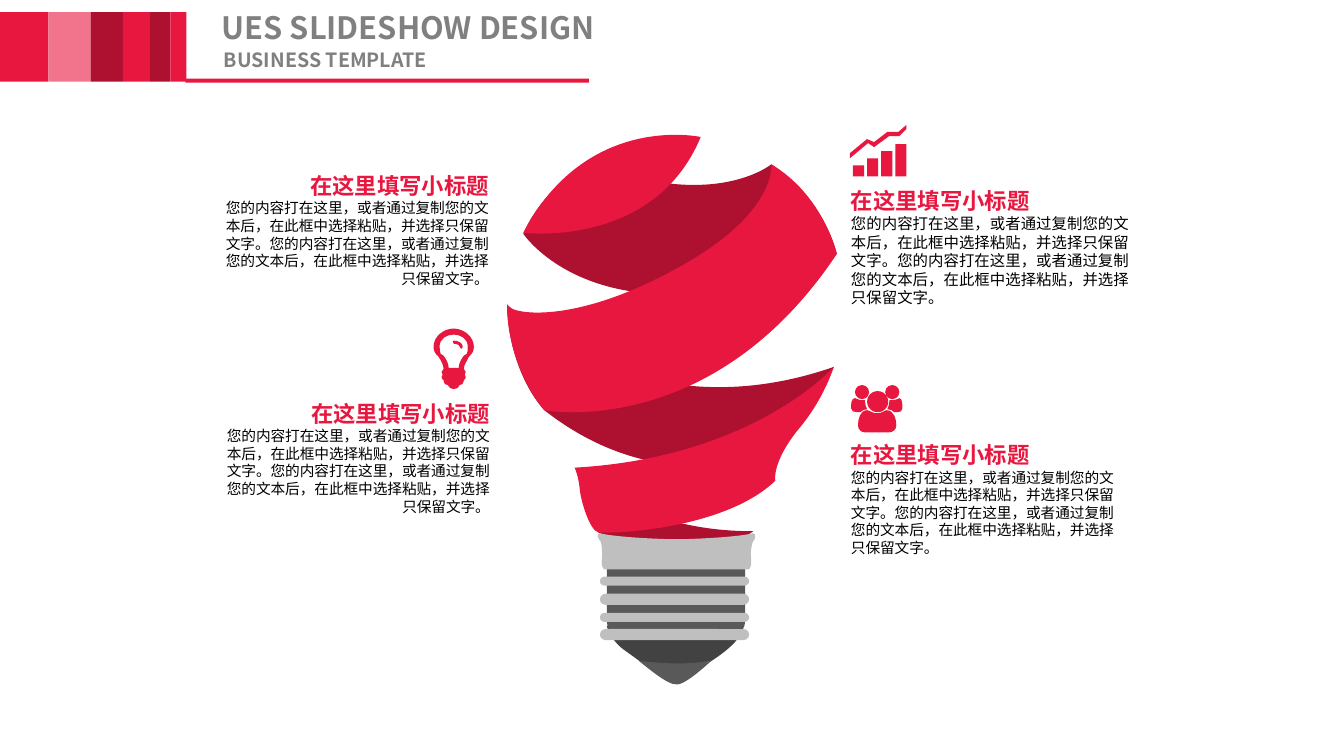
from dataclasses import dataclass
from itertools import accumulate

from lxml.etree import SubElement
from pptx import Presentation
from pptx.dml.color import RGBColor
from pptx.enum.shapes import MSO_SHAPE
from pptx.enum.text import MSO_ANCHOR, MSO_AUTO_SIZE, PP_ALIGN
from pptx.oxml.ns import qn
from pptx.util import Inches, Pt


@dataclass(frozen=True)
class Theme:
    font: str = "Noto Sans CJK SC"
    red: str = "E8173F"
    pink: str = "F1748C"
    dark: str = "AE112F"
    gray: str = "808080"
    black: str = "000000"
    metal: str = "BFBFBF"
    steel: str = "595959"
    coal: str = "424242"
    title: float = 22
    sub: float = 14
    head: float = 16
    body: float = 10.5
    large: float = 11


HEAD = "在这里填写小标题"
BODY = "您的内容打在这里，或者通过复制您的文本后，在此框中选择粘贴，并选择只保留文字。" * 2

# Contours in inches: a start point, then "|" before each line (2 numbers) or cubic curve (6).
FOLDS = [
    "5.19 2.32 | 5.19 2.32 5.99 3.52 8.3 2.52 | 8.3 2.52 8.19 1.99 7.65 1.63"
    "| 7.65 1.63 7.07 2.11 5.82 1.6 | 5.82 1.6 5.37 1.89 5.19 2.32",
    "5.03 3.02 | 5.03 3.02 6.29 4.33 8.27 3.64 | 8.27 3.64 8.16 3.9 8.02 4.07"
    "| 7.89 4.23 7.74 4.47 7.74 4.47 | 7.74 4.47 6.6 5.01 5.4 4.07 | 5.4 4.07 5.05 3.72 5.03 3.02",
    "5.7 4.64 | 5.7 4.64 6.25 5.27 7.47 5.27 | 7.47 5.27 6.91 5.73 5.93 5.28"
    "| 5.93 5.28 5.77 4.7 5.7 4.64",
]
BANDS = [
    "8.27 3.64 | 8.27 3.64 7.48 4.54 5.7 4.64 | 5.7 4.64 5.74 4.73 5.75 4.85"
    "| 5.76 4.97 5.85 5.26 5.93 5.28 | 6 5.3 7.17 5.27 7.69 4.77"
    "| 7.69 4.77 7.65 4.6 7.91 4.27 | 8.17 3.97 8.27 3.64 8.27 3.64",
    "7.65 1.63 | 7.65 1.63 7.72 2.12 6.7 2.67 | 5.68 3.23 5.05 3.12 5.03 3.02"
    "| 5.03 3.02 5 3.57 5.4 4.07 | 5.4 4.07 7.06 4.38 8.3 2.52 | 8.3 2.52 8.17 1.94 7.65 1.63",
    "5.19 2.31 | 5.19 2.31 6.49 2.47 6.95 1.36 | 6.95 1.36 5.82 1.11 5.19 2.31",
]
CONE = ("6.02 6.21 | 6.02 6.22 6.05 6.34 6.18 6.44 | 6.61 6.75"
        "| 6.71 6.82 6.78 6.77 6.8 6.75 | 6.82 6.73 6.88 6.67 7.02 6.58"
        "| 7.15 6.5 7.36 6.35 7.36 6.23 | 7.36 6.1 6.02 6.21 6.02 6.21")
COLLAR = ("7.47 5.29 | 7.32 5.33 6.86 5.35 6.71 5.35 | 6.56 5.35 6.1 5.33 5.95 5.29"
          "| 5.95 5.29 5.91 5.3 5.94 5.35 | 5.94 5.35 5.97 5.36 5.97 5.46"
          "| 5.98 5.55 5.95 5.6 5.99 5.65 | 7.43 5.65 | 7.47 5.6 7.44 5.55 7.45 5.46"
          "| 7.46 5.36 7.48 5.36 7.48 5.36 | 7.51 5.3 7.47 5.29 7.47 5.29")
TIP = ("6.34 6.56 | 6.34 6.55 6.75 6.62 7.06 6.55 | 7.06 6.55 6.82 6.78 6.72 6.79"
       "| 6.62 6.8 6.42 6.62 6.34 6.56")
PEOPLE = [
    "8.53 4.09 | 8.5 4.09 | 8.47 4.09 8.44 4.08 8.44 4.05 | 8.44 4.02 8.44 3.95 8.48 3.95"
    "| 8.49 3.95 8.51 3.97 8.55 3.97 | 8.58 3.97"
    "| 8.58 3.99 | 8.58 4.01 8.59 4.04 8.6 4.06 | 8.58 4.06 8.55 4.07 8.53 4.09",
    "8.81 4.29 | 8.58 4.29 | 8.54 4.29 8.51 4.26 8.51 4.22 | 8.51 4.16 8.53 4.07 8.6 4.07"
    "| 8.62 4.07 8.65 4.1 8.7 4.1 | 8.75 4.1 8.78 4.07 8.79 4.07"
    "| 8.87 4.07 8.89 4.16 8.89 4.22 | 8.89 4.26 8.86 4.29 8.81 4.29",
    "8.9 4.09 | 8.87 4.09 | 8.85 4.07 8.83 4.06 8.8 4.06 | 8.81 4.04 8.82 4.01 8.82 3.99"
    "| 8.82 3.97 | 8.85 3.97"
    "| 8.89 3.97 8.92 3.95 8.92 3.95 | 8.95 3.95 8.95 4.02 8.95 4.05 | 8.95 4.08 8.93 4.09 8.9 4.09",
]
TREND = ("8.91 1.31 | 8.8 1.31 | 8.67 1.41 | 8.6 1.38 | 8.43 1.52 | 8.43 1.57 | 8.61 1.42"
         "| 8.67 1.46 | 8.82 1.35 | 8.92 1.35 | 8.99 1.28 | 8.99 1.24")
LAMP = [
    "4.65 3.54 | 4.64 3.57 4.6 3.62 4.6 3.66 | 4.62 3.69 | 4.61 3.72 | 4.62 3.74"
    "| 4.62 3.76 4.61 3.77 4.6 3.77 | 4.6 3.78 | 4.6 3.81 4.58 3.82 4.56 3.82"
    "| 4.55 3.85 4.53 3.86 4.5 3.86 | 4.48 3.86 4.45 3.85 4.44 3.82"
    "| 4.42 3.82 4.4 3.81 4.4 3.78 | 4.4 3.77 | 4.39 3.77 4.38 3.76 4.38 3.74"
    "| 4.39 3.72 | 4.38 3.69 | 4.4 3.66 | 4.4 3.62 4.37 3.57 4.35 3.54"
    "| 4.32 3.51 4.3 3.49 4.3 3.44 | 4.3 3.34 4.4 3.26 4.5 3.26"
    "| 4.6 3.26 4.7 3.34 4.7 3.44 | 4.7 3.49 4.68 3.51 4.65 3.54",
    "4.5 3.32 | 4.43 3.32 4.36 3.36 4.36 3.44 | 4.36 3.47 4.37 3.5 4.37 3.51"
    "| 4.4 3.53 | 4.43 3.57 4.45 3.61 4.45 3.65 | 4.55 3.65"
    "| 4.55 3.61 4.57 3.57 4.6 3.53 | 4.63 3.51"
    "| 4.64 3.5 4.64 3.47 4.64 3.44 | 4.64 3.36 4.57 3.32 4.5 3.32",
    "4.58 3.46 | 4.57 3.46 4.56 3.45 4.56 3.44 | 4.56 3.42 4.52 3.41 4.5 3.41"
    "| 4.49 3.39 | 4.5 3.38 | 4.54 3.38 4.59 3.4 4.59 3.44 | 4.59 3.45 4.58 3.46 4.58 3.46",
]


def trace(line):
    """Split a contour into parts, each a list of points in hundredths of an inch."""
    parts = []
    for part in line.split("|"):
        nums = [round(float(n) * 100) for n in part.split()]
        parts.append(list(zip(nums[::2], nums[1::2])))
    return parts


class Canvas:
    def __init__(self, slide, theme):
        self.slide, self.theme = slide, theme

    def paint(self, shape, color):
        shape.shadow.inherit = False
        shape.fill.solid()
        shape.fill.fore_color.rgb = RGBColor.from_string(color)
        shape.line.fill.background()

    def block(self, box, color, kind=MSO_SHAPE.RECTANGLE, turn=None):
        """Draw a preset shape; turn sets its corner rounding."""
        shape = self.slide.shapes.add_shape(kind, *map(Inches, box))
        if turn is not None:
            shape.adjustments[0] = turn
        self.paint(shape, color)

    def form(self, lines, color):
        """Draw contours as one shape; inner contours become holes."""
        pen, sizes = None, []
        for (start, *parts) in map(trace, lines):
            if pen is None:
                pen = self.slide.shapes.build_freeform(*start[0], scale=Inches(0.01))
            else:
                pen.move_to(*start[0])
            pen.add_line_segments([p for part in parts for p in part], close=True)
            sizes += map(len, parts)
        shape = pen.convert_to_shape()
        self.bend(shape, sizes)
        self.paint(shape, color)

    def bend(self, shape, sizes):
        """Join each run of three segments into one cubic curve."""
        steps = iter(list(shape._element.iter(qn("a:lnTo"))))
        for size in sizes:
            first, *rest = [next(steps) for _ in range(size)]
            if rest:
                first.tag = qn("a:cubicBezTo")
            for step in rest:
                first.append(step[0])
                step.getparent().remove(step)

    def style(self, para, size, color, bold, align):
        para.alignment = align
        for run in para.runs:
            font = run.font
            font.name, font.size, font.bold = self.theme.font, Pt(size), bold
            font.color.rgb = RGBColor.from_string(color)
            SubElement(font._element, qn("a:ea"), typeface=self.theme.font)

    def frame(self, shape, wrap, fit):
        text = shape.text_frame
        text.margin_left = text.margin_right = text.margin_top = text.margin_bottom = 0
        text.word_wrap, text.auto_size = wrap, fit
        return text

    def label(self, holder, box, words, size, wrap):
        """Move and fill a placeholder."""
        holder.left, holder.top, holder.width, holder.height = map(Inches, box)
        text = self.frame(holder, wrap, MSO_AUTO_SIZE.NONE)
        text.vertical_anchor = MSO_ANCHOR.MIDDLE
        text.text = words
        para = text.paragraphs[0]
        para.line_spacing, para.space_before = 0.9, Pt(0)
        self.style(para, size, self.theme.gray, True, PP_ALIGN.LEFT)

    def note(self, box, size, align):
        """Add a heading with its paragraph."""
        shape = self.slide.shapes.add_textbox(*map(Inches, box))
        text = self.frame(shape, True, MSO_AUTO_SIZE.SHAPE_TO_FIT_TEXT)
        text.text = f"{HEAD}\n{BODY}"
        head, body = text.paragraphs
        self.style(head, self.theme.head, self.theme.red, True, align)
        self.style(body, size, self.theme.black, False, align)


def main():
    deck = Presentation()
    deck.slide_width, deck.slide_height = Inches(13.33), Inches(7.5)
    slide = deck.slides.add_slide(deck.slide_layouts[2])
    look = Theme()
    art = Canvas(slide, look)

    art.label(slide.shapes.title, (2.2, 0.12, 4.86, 0.34), "UES SLIDESHOW DESIGN", look.title, False)
    art.label(slide.placeholders[1], (2.22, 0.5, 2.84, 0.22), "BUSINESS TEMPLATE", look.sub, True)
    wide = (0.48, 0.42, 0.32, 0.27, 0.2, 0.16)
    tints = (look.red, look.pink, look.dark, look.red, look.dark, look.red)
    for left, width, tint in zip(accumulate(wide, initial=0), wide, tints):
        art.block((left, 0.12, width, 0.69), tint)
    art.block((1.84, 0.78, 4, 0.04), look.red)

    for fold in FOLDS:
        art.form([fold], look.dark)
    for band in BANDS:
        art.form([band], look.red)
    art.form([CONE], look.coal)
    art.block((6.02, 5.51, 1.37, 0.8), look.steel, MSO_SHAPE.ROUNDED_RECTANGLE, 0.18)
    art.form([COLLAR], look.metal)
    for top, height in ((5.72, 0.09), (5.89, 0.11), (6.08, 0.09), (6.24, 0.11)):
        art.block((5.95, top, 1.48, height), look.metal, MSO_SHAPE.ROUNDED_RECTANGLE, 0.5)
    art.form([TIP], look.steel)

    art.form(PEOPLE, look.red)
    for left, top, size in ((8.48, 3.82, 0.14), (8.6, 3.88, 0.21), (8.78, 3.82, 0.14)):
        art.block((left, top, size, size), look.red, MSO_SHAPE.OVAL)
    for i in range(4):
        height = 0.11 + 0.07 * i
        art.block((8.46 + 0.14 * i, 1.75 - height, 0.11, height), look.red)
    art.form([TREND], look.red)
    art.form(LAMP, look.red)

    art.note((8.44, 4.38, 2.65, 1.15), look.body, PP_ALIGN.LEFT)
    art.note((8.44, 1.86, 2.81, 1.19), look.large, PP_ALIGN.LEFT)
    art.note((2.2, 3.97, 2.66, 1.15), look.body, PP_ALIGN.RIGHT)
    art.note((2.12, 1.71, 2.73, 1.15), look.body, PP_ALIGN.RIGHT)
    deck.save("out.pptx")


if __name__ == "__main__":
    main()
